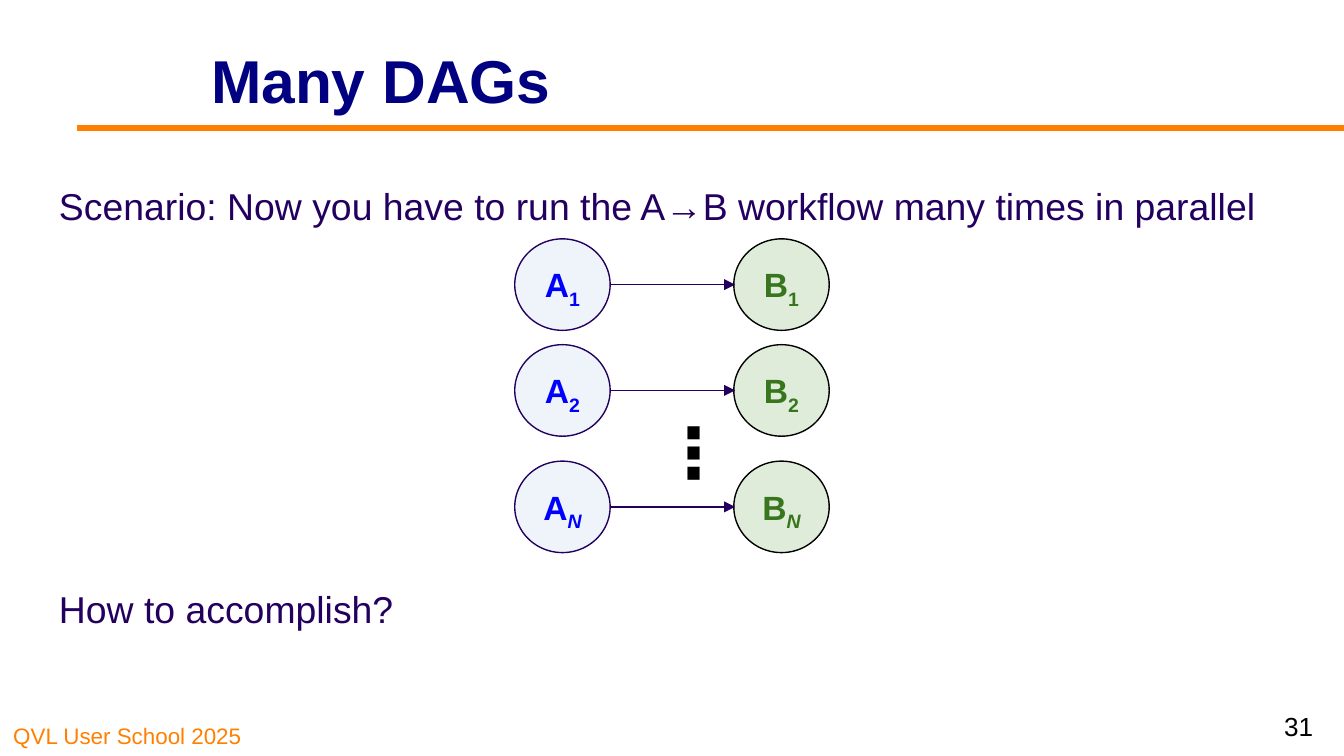
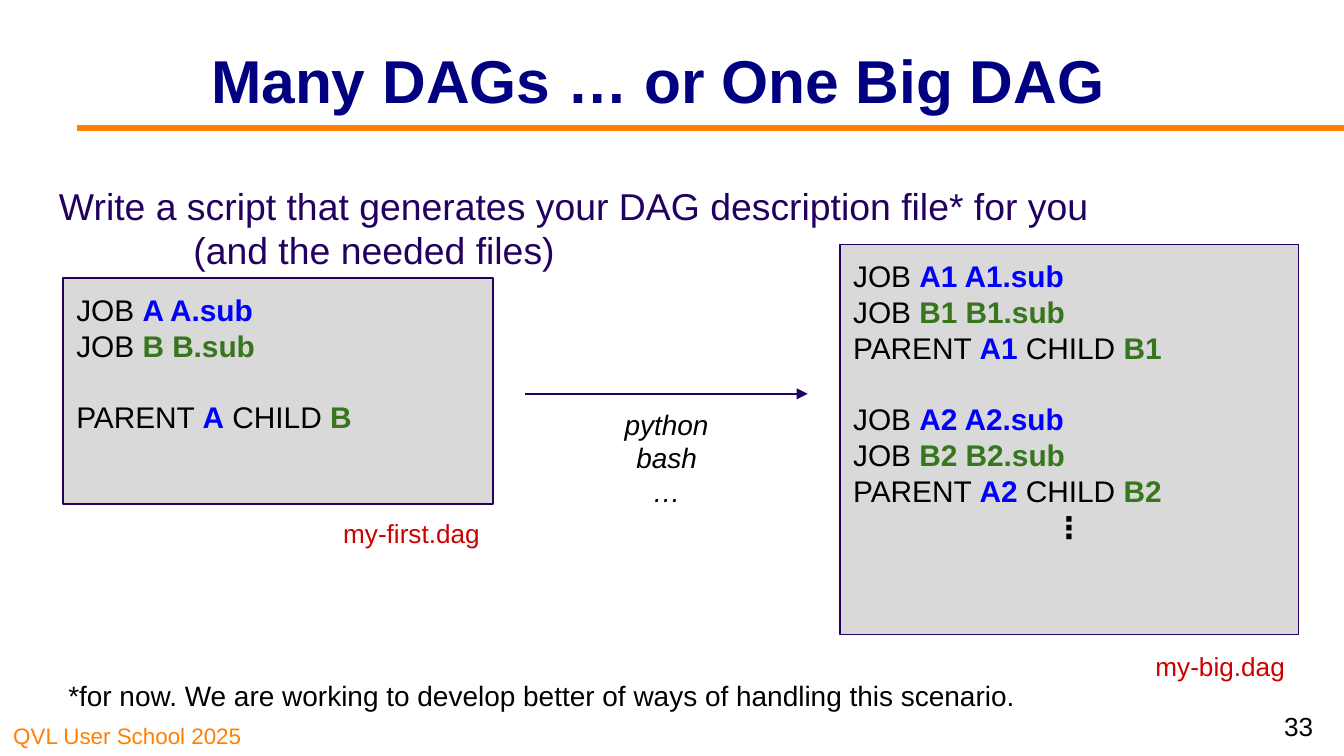
import dataclasses
import typing

import lxml.etree
import pptx
import pptx.dml.color
import pptx.enum.shapes
import pptx.enum.text
import pptx.oxml.ns
import pptx.presentation
import pptx.shapes.autoshape
import pptx.shapes.connector
import pptx.slide
import pptx.text.text
import pptx.util

ALIGN = pptx.enum.text.PP_ALIGN
ANCHOR = pptx.enum.text.MSO_ANCHOR
SHAPE = pptx.enum.shapes.MSO_SHAPE
FIT = pptx.enum.text.MSO_AUTO_SIZE
WIDTH = pptx.util.Inches(10)
HEIGHT = pptx.util.Inches(5.625)
TAB = pptx.util.Inches(1)


@dataclasses.dataclass(frozen=True)
class Theme:
    font: str = "Arial"
    navy: str = "000080"
    orange: str = "FF8000"
    purple: str = "23005F"
    black: str = "000000"
    blue: str = "0000FF"
    green: str = "38761D"
    red: str = "CC0000"
    grey: str = "D9D9D9"
    pale_blue: str = "CFDEF3"
    leaf: str = "348E16"
    title: float = 32.4
    body: float = 20
    node: float = 18
    code: float = 16
    note: float = 15
    small: float = 14
    footer: float = 12
    dots: float = 37
    thin: float = 0.75
    rule: float = 3


THEME = Theme()


class Frame(typing.NamedTuple):
    """Percent of the slide's width and height."""

    left: float
    top: float
    width: float
    height: float

    def lengths(self) -> tuple[int, int, int, int]:
        return across(self.left), down(self.top), across(self.width), down(self.height)


class Span(typing.NamedTuple):
    text: str
    color: str = THEME.black
    bold: bool = False
    italic: bool = False
    subscript: bool = False


@dataclasses.dataclass(frozen=True)
class Para:
    spans: tuple[Span, ...]
    align: ALIGN = ALIGN.LEFT
    before: float = 0
    after: float = 0
    spacing: float = 1


class Node(typing.NamedTuple):
    letter: str
    left: float
    fill: str
    opacity: int
    outline: str
    color: str


class CodeBox(typing.NamedTuple):
    frame: Frame
    paras: tuple[Para, ...]
    caption: str
    caption_frame: Frame


def across(columns: float) -> int:
    return round(WIDTH * columns / 100)


def down(rows: float) -> int:
    return round(HEIGHT * rows / 100)


def rgb(color: str) -> pptx.dml.color.RGBColor:
    return pptx.dml.color.RGBColor.from_string(color)


def line_of(*spans: Span, **layout: typing.Any) -> Para:
    return Para(spans, **layout)


def write(text: pptx.text.text.TextFrame, paras: typing.Sequence[Para], size: float,
          anchor: ANCHOR = ANCHOR.TOP, fit: FIT = FIT.NONE, inset: float = 0.1) -> None:
    text.word_wrap = True
    text.auto_size = fit
    text.vertical_anchor = anchor
    text.margin_left = text.margin_right = pptx.util.Inches(0.1)
    text.margin_top = text.margin_bottom = pptx.util.Inches(inset)
    for index, content in enumerate(paras):
        para = text.add_paragraph() if index else text.paragraphs[0]
        para.alignment = content.align
        para.line_spacing = content.spacing
        para.space_before = pptx.util.Pt(content.before)
        para.space_after = pptx.util.Pt(content.after)
        if any("\t" in piece.text for piece in content.spans):
            stops = lxml.etree.SubElement(para._p.get_or_add_pPr(), pptx.oxml.ns.qn("a:tabLst"))
            lxml.etree.SubElement(stops, pptx.oxml.ns.qn("a:tab"), pos=str(TAB), algn="l")
        for piece in content.spans:
            for number, part in enumerate(piece.text.split("\n")):
                if number:
                    para.add_line_break()
                span = para.add_run()
                span.text = part
                font = span.font
                font.name = THEME.font
                font.size = pptx.util.Pt(size)
                font.bold = piece.bold
                font.italic = piece.italic
                font.color.rgb = rgb(piece.color)
                if piece.subscript:
                    span._r.get_or_add_rPr().set("baseline", "-25000")


def add_text(shapes: typing.Any, frame: Frame, paras: typing.Sequence[Para], size: float,
             **options: typing.Any) -> pptx.shapes.autoshape.Shape:
    box = shapes.add_textbox(*frame.lengths())
    write(box.text_frame, paras, size, **options)
    return box


def add_panel(shapes: typing.Any, kind: SHAPE, frame: Frame, fill: str, outline: str,
              opacity: int = 100) -> pptx.shapes.autoshape.Shape:
    panel = shapes.add_shape(kind, *frame.lengths())
    panel.shadow.inherit = False
    panel.fill.solid()
    panel.fill.fore_color.rgb = rgb(fill)
    if opacity < 100:
        tint = panel.element.spPr.find(".//" + pptx.oxml.ns.qn("a:srgbClr"))
        lxml.etree.SubElement(tint, pptx.oxml.ns.qn("a:alpha"), val=str(opacity * 1000))
    panel.line.color.rgb = rgb(outline)
    panel.line.width = pptx.util.Pt(THEME.thin)
    return panel


def add_line(shapes: typing.Any, start: float, end: float, row: float, color: str,
             weight: float, arrow: bool = True) -> pptx.shapes.connector.Connector:
    line = shapes.add_connector(pptx.enum.shapes.MSO_CONNECTOR.STRAIGHT,
                                across(start), down(row), across(end), down(row))
    line.line.color.rgb = rgb(color)
    line.line.width = pptx.util.Pt(weight)
    properties = line.element.spPr
    if arrow:
        lxml.etree.SubElement(properties.get_or_add_ln(), pptx.oxml.ns.qn("a:tailEnd"), type="triangle")
    lxml.etree.SubElement(properties, pptx.oxml.ns.qn("a:effectLst"))
    return line


def brand_layout(layout: pptx.slide.SlideLayout, page: pptx.slide.Slide) -> None:
    footer = add_text(page.shapes, Frame(0, 94.4, 24.8, 5.6),
                      [line_of(Span("QVL User School 2025", THEME.orange))],
                      THEME.footer, anchor=ANCHOR.BOTTOM, inset=0.05)
    rule = add_line(page.shapes, 5.7, 100, 16.9, THEME.orange, THEME.rule, arrow=False)
    for shared in (footer, rule):
        layout.shapes.element.append(shared.element)


def start_page(page: pptx.slide.Slide, title: str, number: int, body: typing.Sequence[Para]) -> None:
    heading = page.shapes.title
    heading.left, heading.top, heading.width, heading.height = Frame(14.7, 3.9, 81.9, 11.2).lengths()
    write(heading.text_frame, [line_of(Span(title, THEME.navy, bold=True))], THEME.title)
    add_text(page.shapes, Frame(3.4, 22.4, 93.2, 66.5), body, THEME.body)
    add_text(page.shapes, Frame(92.7, 92.45, 6, 7.6),
             [line_of(Span(str(number)), align=ALIGN.RIGHT, spacing=0.9)],
             THEME.small, anchor=ANCHOR.MIDDLE)


NODES = (
    Node("A", 38.3, THEME.pale_blue, 32, THEME.purple, THEME.blue),
    Node("B", 54.6, THEME.leaf, 16, THEME.black, THEME.green),
)


def add_workflow(page: pptx.slide.Slide, top: float, index: str) -> None:
    group = page.shapes.add_group_shape().shapes
    for node in NODES:
        add_panel(group, SHAPE.OVAL, Frame(node.left, top, 7.1, 12.1),
                  node.fill, node.outline, node.opacity)
        label = line_of(Span(node.letter, node.color, bold=True),
                        Span(index, node.color, bold=True, italic=index.isalpha(), subscript=True),
                        align=ALIGN.CENTER, after=12, spacing=1.15)
        add_text(group, Frame(node.left + 0.4, top + 1.5, 6.3, 8.9), [label],
                 THEME.node, anchor=ANCHOR.MIDDLE, fit=FIT.SHAPE_TO_FIT_TEXT)
    add_line(group, 45.4, 54.7, top + 6.05, THEME.purple, THEME.thin)


def dag_lines(suffix: str, first_gap: float = 0, parent_gap: float = 0) -> tuple[Para, ...]:
    parent = Span(f"A{suffix}", THEME.blue, bold=True)
    child = Span(f"B{suffix}", THEME.green, bold=True)
    jobs = [line_of(Span("JOB "), name._replace(text=f"{name.text} {name.text}.sub"), before=gap)
            for name, gap in ((parent, first_gap), (child, 0))]
    return (*jobs, line_of(Span("PARENT "), parent, Span(" CHILD "), child, before=parent_gap))


def add_code(page: pptx.slide.Slide, code: CodeBox) -> None:
    panel = add_panel(page.shapes, SHAPE.RECTANGLE, code.frame, THEME.grey, THEME.purple)
    write(panel.text_frame, code.paras, THEME.code)
    add_text(page.shapes, code.caption_frame,
             [line_of(Span(code.caption, THEME.red), align=ALIGN.RIGHT)],
             THEME.small, fit=FIT.SHAPE_TO_FIT_TEXT)


def fill_many_dags(page: pptx.slide.Slide) -> None:
    start_page(page, "Many DAGs", 31, [
        line_of(Span("Scenario: Now you have to run the A→B workflow many times in parallel", THEME.purple)),
        line_of(Span("How to accomplish?", THEME.purple), before=192, after=12),
    ])
    for top, index in ((31.6, "1"), (45.6, "2"), (61, "N")):
        add_workflow(page, top, index)
    add_text(page.shapes, Frame(48.1, 52.3, 3.9, 11.2), [line_of(Span("⋮", bold=True))], THEME.dots)


def fill_one_big_dag(page: pptx.slide.Slide) -> None:
    start_page(page, "Many DAGs … or One Big DAG", 33, [
        line_of(Span("Write a script that generates your DAG description file* for you \n"
                     "\t(and the needed files)", THEME.purple), after=12),
    ])
    gap = 19
    dots = line_of(Span("⋮", bold=True), align=ALIGN.CENTER)
    for code in (
        CodeBox(Frame(4.7, 36.8, 32, 29.9), dag_lines("", parent_gap=gap),
                "my-first.dag", Frame(4.7, 66.7, 32, 7.8)),
        CodeBox(Frame(62.5, 32.35, 34.1, 51.6), (*dag_lines("1"), *dag_lines("2", first_gap=gap), dots),
                "my-big.dag", Frame(64.6, 84.3, 32, 7.8)),
    ):
        add_code(page, code)
    add_line(page.shapes, 39.1, 60.1, 52.1, THEME.purple, THEME.thin)
    add_text(page.shapes, Frame(44.7, 52.1, 9.8, 17.1),
             [line_of(Span(word, italic=True), align=ALIGN.CENTER) for word in ("python", "bash", "…")],
             THEME.note, fit=FIT.SHAPE_TO_FIT_TEXT)
    add_text(page.shapes, Frame(4.1, 88, 80.4, 8),
             [line_of(Span("*for now. We are working to develop better of ways of handling this scenario."))],
             THEME.note, fit=FIT.SHAPE_TO_FIT_TEXT)


def main() -> None:
    deck = pptx.Presentation()
    deck.slide_width, deck.slide_height = WIDTH, HEIGHT
    layout = deck.slide_layouts.get_by_name("Title Only")
    pages = [deck.slides.add_slide(layout) for _ in range(2)]
    brand_layout(layout, pages[0])
    for page, fill_page in zip(pages, (fill_many_dags, fill_one_big_dag)):
        fill_page(page)
    deck.save("out.pptx")


if __name__ == "__main__":
    main()
